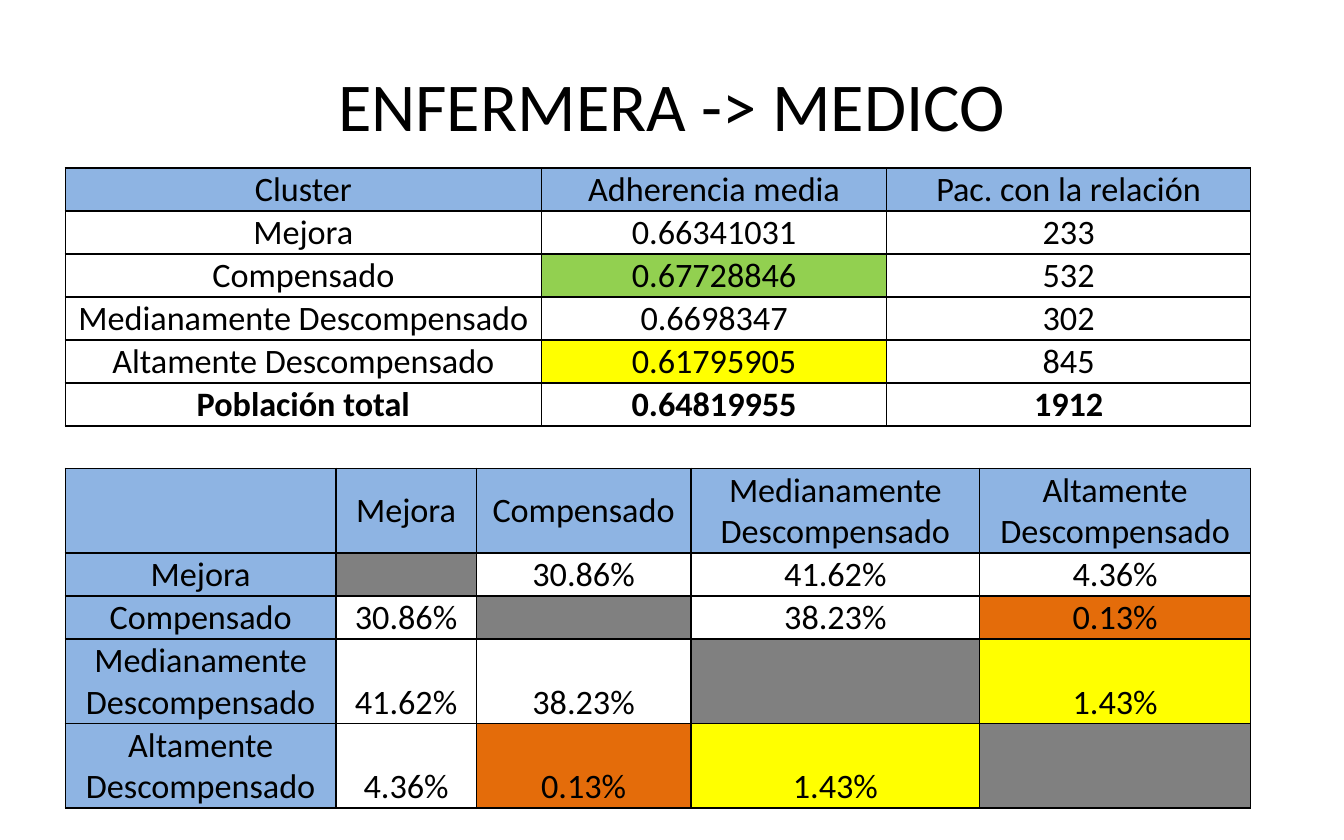
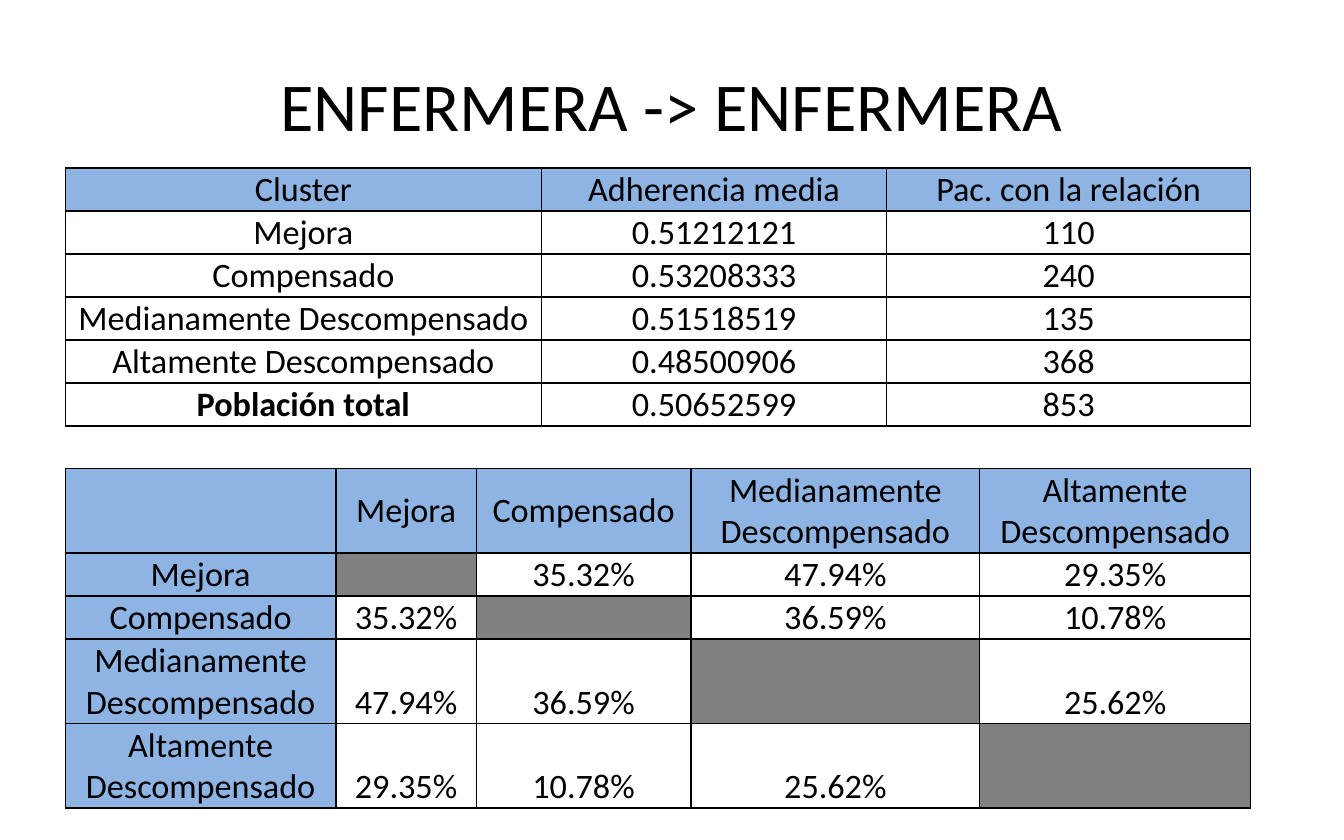
from lxml.etree import SubElement
from pptx import Presentation
from pptx.dml.color import RGBColor
from pptx.enum.text import MSO_ANCHOR as Anchor, PP_ALIGN as Align
from pptx.oxml import parse_xml
from pptx.oxml.ns import nsdecls, qn
from pptx.util import Cm, Pt

COLORS = {
    "text": "000000",
    "border": "000000",
    "plain": "FFFFFF",
    "header": "8EB4E3",
    "diagonal": "808080",
    "best": "92D050",
    "low": "FFFF00",
    "lowest": "E46C0A",
}
FONT = "Calibri"
LEFT = 1.48
ONE_LINE, TWO_LINES = 0.97, 1.91
SUMMARY_TOP, SUMMARY_COLS = 3.81, [10.8, 7.83, 8.25]
MATRIX_TOP, MATRIX_COLS = 10.62, [6.14, 3.18, 4.87, 6.55, 6.14]

CLUSTERS = ["Mejora", "Compensado", "Medianamente Descompensado",
            "Altamente Descompensado"]
SUMMARY_HEADER = ["Cluster", "Adherencia media", "Pac. con la relación"]

# Pairs are keyed by the positions of both clusters; marks give a value its fill.
RELATIONS = [
    {
        "title": "ENFERMERA -> MEDICO",
        "adherence": ["0.66341031", "0.67728846", "0.6698347", "0.61795905"],
        "patients": ["233", "532", "302", "845"],
        "total": ["0.64819955", "1912"],
        "bold_total": True,
        "pairs": {(0, 1): "30.86%", (0, 2): "41.62%", (0, 3): "4.36%",
                  (1, 2): "38.23%", (1, 3): "0.13%", (2, 3): "1.43%"},
        "marks": {"0.67728846": "best", "0.61795905": "low",
                  "0.13%": "lowest", "1.43%": "low"},
    },
    {
        "title": "ENFERMERA -> ENFERMERA",
        "adherence": ["0.51212121", "0.53208333", "0.51518519", "0.48500906"],
        "patients": ["110", "240", "135", "368"],
        "total": ["0.50652599", "853"],
        "bold_total": False,
        "pairs": {(0, 1): "35.32%", (0, 2): "47.94%", (0, 3): "29.35%",
                  (1, 2): "36.59%", (1, 3): "10.78%", (2, 3): "25.62%"},
        "marks": {},
    },
]


def rgb(color):
    return RGBColor.from_string(COLORS[color])


def style_paragraph(paragraph, size, bold=False):
    paragraph.alignment = Align.CENTER
    font = paragraph.font
    font.name, font.size, font.bold = FONT, Pt(size), bold
    font.color.rgb = rgb("text")


def add_title(slide, text):
    title = slide.shapes.title
    title.left, title.top, title.width, title.height = (
        Cm(1.52), Cm(0.76), Cm(27.43), Cm(3.18))
    title.text_frame.text = text
    title.text_frame.vertical_anchor = Anchor.MIDDLE
    style_paragraph(title.text_frame.paragraphs[0], 44)


def add_borders(cell):
    properties = cell._tc.get_or_add_tcPr()
    for position, side in enumerate(("lnL", "lnR", "lnT", "lnB")):
        line = parse_xml(f'<a:{side} {nsdecls("a")} w="{Pt(1)}"/>')
        fill = SubElement(line, qn("a:solidFill"))
        SubElement(fill, qn("a:srgbClr"), val=COLORS["border"])
        properties.insert(position, line)


def fill_cell(cell, text, fill, is_label, bold=False):
    cell.text = text
    cell.margin_left = cell.margin_right = cell.margin_top = Cm(0.03)
    cell.margin_bottom = 0
    cell.vertical_anchor = Anchor.MIDDLE if is_label else Anchor.BOTTOM
    cell.fill.solid()
    cell.fill.fore_color.rgb = rgb(fill)
    style_paragraph(cell.text_frame.paragraphs[0], 22, bold)
    add_borders(cell)


def add_grid(slide, top, widths, heights):
    """Add an empty, unbanded table with the given sizes in centimetres."""
    grid = slide.shapes.add_table(
        len(heights), len(widths), Cm(LEFT), Cm(top),
        Cm(sum(widths)), Cm(sum(heights))).table
    grid.first_row = grid.horz_banding = False
    for column, width in zip(grid.columns, widths):
        column.width = Cm(width)
    for row, height in zip(grid.rows, heights):
        row.height = Cm(height)
    return grid


def add_summary(slide, relation):
    """Add mean adherence and patients per cluster, with the total below."""
    rows = [SUMMARY_HEADER,
            *zip(CLUSTERS, relation["adherence"], relation["patients"]),
            ["Población total", *relation["total"]]]
    grid = add_grid(slide, SUMMARY_TOP, SUMMARY_COLS, [ONE_LINE] * len(rows))
    for r, row in enumerate(rows):
        is_total = r == len(rows) - 1
        for c, text in enumerate(row):
            fill = "header" if r == 0 else relation["marks"].get(text, "plain")
            bold = is_total and (c == 0 or relation["bold_total"])
            fill_cell(grid.cell(r, c), text, fill, r == 0 or c == 0, bold)


def add_matrix(slide, relation):
    """Add the symmetric comparison of every cluster with the others."""
    labels = ["", *CLUSTERS]
    heights = [TWO_LINES, ONE_LINE, ONE_LINE, TWO_LINES, TWO_LINES]
    grid = add_grid(slide, MATRIX_TOP, MATRIX_COLS, heights)
    for r in range(len(labels)):
        for c in range(len(labels)):
            is_label = r == 0 or c == 0
            if is_label:
                text, fill = labels[r + c], "header"
            elif r == c:
                text, fill = "", "diagonal"
            else:
                text = relation["pairs"][min(r, c) - 1, max(r, c) - 1]
                fill = relation["marks"].get(text, "plain")
            fill_cell(grid.cell(r, c), text, fill, is_label)


def main():
    deck = Presentation()
    deck.slide_width, deck.slide_height = Cm(30.48), Cm(19.05)
    title_only = deck.slide_layouts[5]
    for relation in RELATIONS:
        slide = deck.slides.add_slide(title_only)
        add_title(slide, relation["title"])
        add_matrix(slide, relation)
        add_summary(slide, relation)
    deck.save("out.pptx")


if __name__ == "__main__":
    main()
